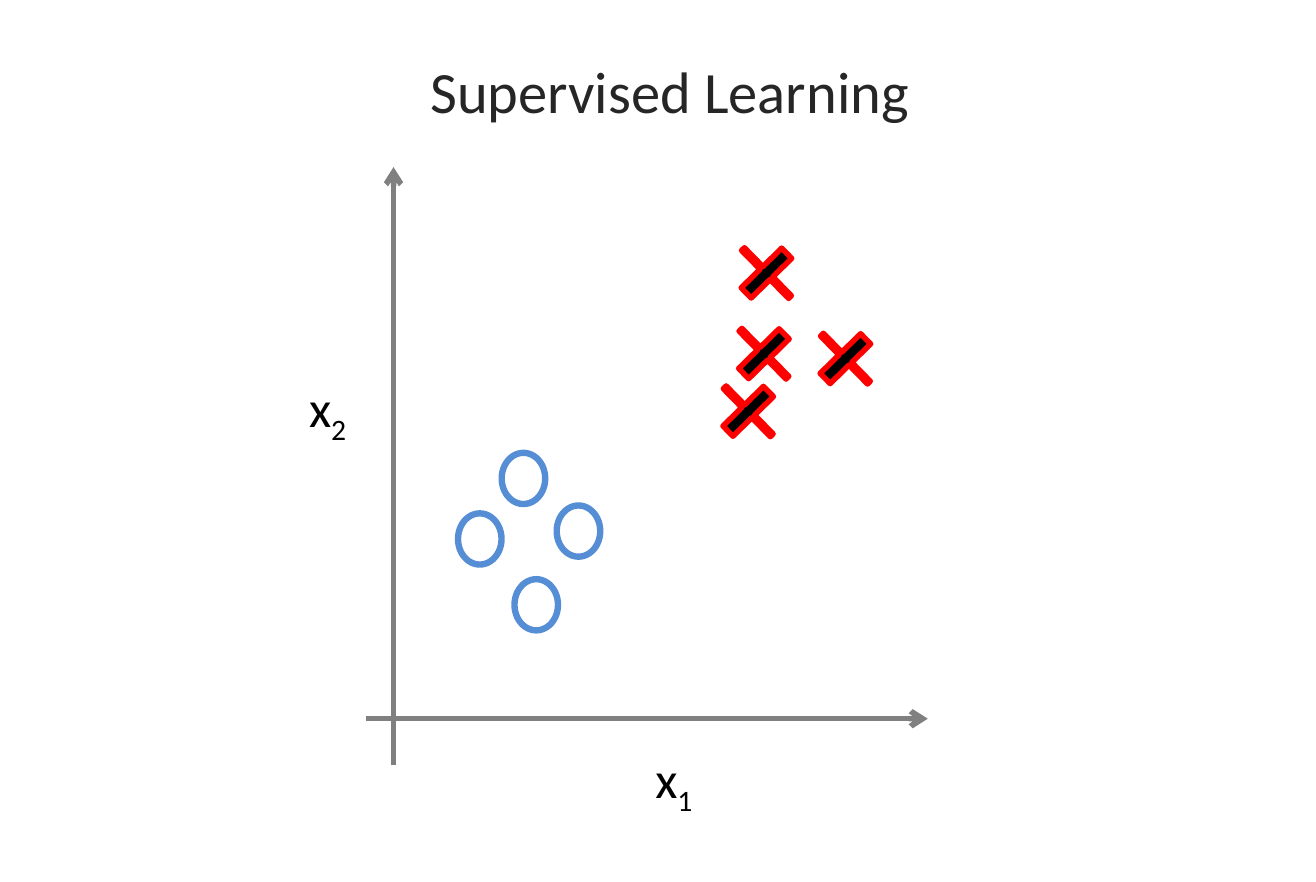
from lxml import etree
from pptx import Presentation
from pptx.dml.color import RGBColor
from pptx.enum import shapes, text
from pptx.oxml.ns import qn
from pptx.util import Pt

BLACK = RGBColor(0x00, 0x00, 0x00)
CHARCOAL = RGBColor(0x26, 0x26, 0x26)
GRAY = RGBColor(0x80, 0x80, 0x80)
BLUE = RGBColor(0x55, 0x8E, 0xD5)
RED = RGBColor(0xFF, 0x00, 0x00)


def write(box, words, subscript="", size=28, color=BLACK):
    frame = box.text_frame
    frame.word_wrap = False
    frame.auto_size = text.MSO_AUTO_SIZE.SHAPE_TO_FIT_TEXT
    frame.vertical_anchor = text.MSO_ANCHOR.TOP
    para = frame.paragraphs[0]
    para.alignment = text.PP_ALIGN.LEFT
    for part, baseline in ((words, 0), (subscript, -25000)):
        if part:
            span = para.add_run()
            span.text = part
            span.font.name = "Calibri"
            span.font.size = Pt(size)
            span.font.color.rgb = color
            if baseline:
                span._r.get_or_add_rPr().set("baseline", str(baseline))


deck = Presentation()
deck.slide_width, deck.slide_height = Pt(720), Pt(482.4)
page = deck.slides.add_slide(deck.slide_layouts[5])

title = page.shapes.title
title.left, title.top, title.width, title.height = Pt(228.2), Pt(26.6), Pt(279.4), Pt(46)
write(title, "Supervised Learning", size=32, color=CHARCOAL)

for left, top in ((250.6, 280.8), (304.6, 276.5), (281.5, 316.8), (274.5, 247.7)):
    circle = page.shapes.add_shape(
        shapes.MSO_SHAPE.OVAL, Pt(left), Pt(top), Pt(23.8), Pt(28))
    circle.shadow.inherit = False
    circle.fill.background()
    circle.line.color.rgb = BLUE
    circle.line.width = Pt(3.5)

for left, top in ((391, 209.5), (401, 133.9), (444.2, 180.7), (399.6, 178)):
    cross = page.shapes.add_shape(
        shapes.MSO_SHAPE.CROSS, Pt(left), Pt(top), Pt(36.7), Pt(31))
    cross.adjustments[0] = 0.466
    cross.rotation = 45.6
    cross.shadow.inherit = False
    cross.fill.solid()
    cross.fill.fore_color.rgb = BLACK
    cross.line.color.rgb = RED
    cross.line.width = Pt(3)

for left, top, subscript in ((351.4, 405.4, "1"), (162, 202.3, "2")):
    label = page.shapes.add_textbox(Pt(left), Pt(top), Pt(36.7), Pt(41))
    write(label, "x", subscript=subscript)

for start_x, start_y, end_x, end_y in ((215.3, 418.3, 215.3, 91.4), (200.2, 393.1, 507.6, 393.1)):
    axis = page.shapes.add_connector(
        shapes.MSO_CONNECTOR.STRAIGHT, Pt(start_x), Pt(start_y), Pt(end_x), Pt(end_y))
    axis.line.color.rgb = GRAY
    axis.line.width = Pt(3)
    etree.SubElement(axis.line._get_or_add_ln(), qn("a:tailEnd"), type="arrow")
    etree.SubElement(axis._element.spPr, qn("a:effectLst"))

deck.save("out.pptx")
